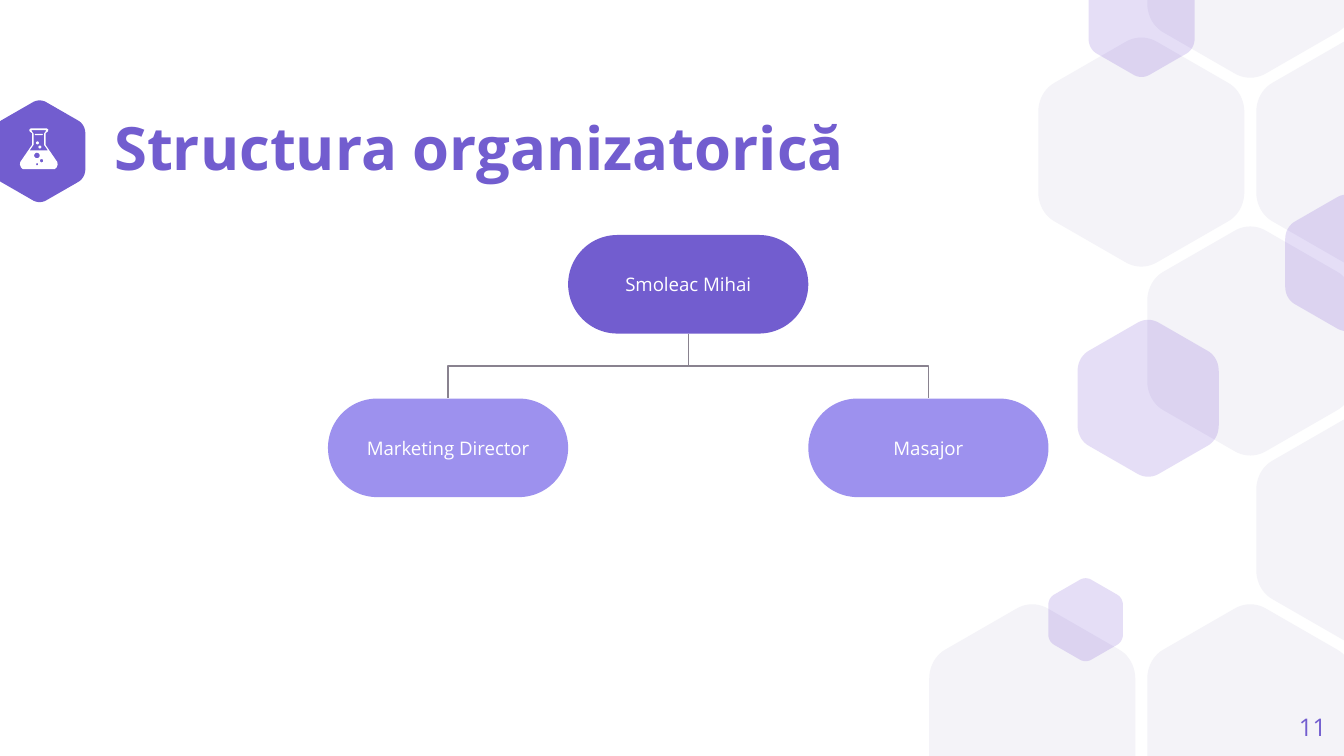
import math

import pptx
import pptx.dml.color
import pptx.enum.shapes
import pptx.enum.text
import pptx.oxml.ns
import pptx.util
from lxml import etree

Pt = pptx.util.Pt
qn = pptx.oxml.ns.qn
ALIGN = pptx.enum.text.PP_ALIGN
SHAPES = pptx.enum.shapes.MSO_SHAPE
FONT = "Open Sans"
PAGE_WIDTH, PAGE_HEIGHT = 720, 405
PURPLE, LILAC, VIOLET = "725DCF", "9D91EE", "5322C9"
PALE, GREY, WHITE = "F4F3F8", "89828F", "FFFFFF"


def colour(target, value):
    target.rgb = pptx.dml.color.RGBColor.from_string(value)


def paint(shape, value, opacity=None):
    shape.shadow.inherit = False
    shape.line.fill.background()
    shape.fill.solid()
    colour(shape.fill.fore_color, value)
    if opacity is not None:
        tint = shape.fill._xPr.find(qn("a:solidFill"))[0]
        etree.SubElement(tint, qn("a:alpha")).set("val", str(opacity * 1000))
    return shape


def write(shape, text, size=10, value=WHITE, bold=False, align=ALIGN.CENTER,
          margin=0, spacing=1.0):
    frame = shape.text_frame
    frame.word_wrap = True
    frame.vertical_anchor = pptx.enum.text.MSO_ANCHOR.MIDDLE
    frame.margin_left = frame.margin_right = Pt(margin)
    frame.margin_top = frame.margin_bottom = Pt(margin)
    para = frame.paragraphs[0]
    para.alignment = align
    para.line_spacing = spacing
    span = para.add_run()
    span.text = text
    span.font.name = FONT
    span.font.size = Pt(size)
    span.font.bold = bold
    colour(span.font.color, value)


def outline(page, contours, value, opacity=None):
    contours = [[(Pt(x), Pt(y)) for x, y in contour] for contour in contours]
    builder = page.shapes.build_freeform(*contours[0][0], scale=1.0)
    for index, contour in enumerate(contours):
        if index:
            builder.move_to(*contour[0])
        builder.add_line_segments(contour[1:], close=True)
    return paint(builder.convert_to_shape(), value, opacity)


def bezier(a, b, c, d, steps=10):
    for step in range(steps + 1):
        t = step / steps
        yield tuple((1 - t) ** 3 * p + 3 * t * (1 - t) ** 2 * q
                    + 3 * t * t * (1 - t) * r + t ** 3 * s
                    for p, q, r, s in zip(a, b, c, d))


def hexagon(page, left, top, width, value, opacity=None):
    """Rounded hexagon, cut at the top and bottom edges of the page."""
    height = width * 1.105
    side = list(bezier((1, .325), (1, .27), (.97, .22), (.92, .195)))
    peak = list(bezier((.58, .018), (.53, -.01), (.47, -.01), (.42, .018)))
    upper = side + peak + [(1 - x, y) for x, y in reversed(side)]
    points = upper + [(1 - x, 1 - y) for x, y in upper]
    outline(page, [[(left + x * width,
                     min(max(top + y * height, 0), PAGE_HEIGHT))
                    for x, y in points]], value, opacity)


def honeycomb(page, left, top):
    # Large pale cells: column, row on a half-offset grid
    pitch_x, pitch_y = 58.4, 101.2
    cells = [(0, 3), (2, 3), (3, 0), (2, -1), (2, 1), (1, 0)]

    def cell(column, row):
        hexagon(page, left + column * pitch_x, top + row * pitch_y, 110.4, PALE)

    for column, row in cells:
        cell(column, row)
    # Small translucent cells: offset from the grid, width
    for x, y, width in [(190.7, 84, 65.8), (63.8, 289.4, 40),
                        (85.4, -42.2, 56.8), (79.5, 151.1, 75.6)]:
        hexagon(page, left + x, top + y, width, VIOLET, 15)
    cell(3, 2)


def circle(x, y, radius):
    return [(x + radius * math.cos(math.tau * n / 16),
             y + radius * math.sin(math.tau * n / 16)) for n in range(16)]


def flask(page, left, top):
    def mirrored(half):
        return half + [(20.2 - x, y) for x, y in reversed(half)]

    def place(*contours):
        outline(page, [[(left + x, top + y) for x, y in contour]
                       for contour in contours], WHITE)

    glass = mirrored([(5.8, 0), (5, .7), (5.2, 1.6), (6.5, 2.6), (6.5, 8.8),
                      (.2, 18), (0, 19.4), (.6, 21), (1.6, 21.8)])
    hollow = mirrored([(6.1, .9), (6.4, 1.6), (7.3, 2.8), (7.3, 8.8),
                       (5.2, 11.8)])
    place(glass, hollow, circle(9.1, 14.5, 1.5), circle(11.6, 17.3, .9),
          circle(9.2, 19.2, .6))
    place(circle(10.7, 10, .8))
    place(circle(9.4, 7.8, .8))
    place(mirrored([(8.2, 2.9), (7.9, 3.25), (8.2, 3.6)]))


def heading(page, left, top, width, height, text):
    hexagon(page, left - 64.5, top - 11.5, 49, PURPLE)
    flask(page, left - 50.5, top + 3.3)
    box = page.shapes.add_textbox(Pt(left), Pt(top), Pt(width), Pt(height))
    write(box, text, size=32, value=PURPLE, bold=True, align=ALIGN.LEFT,
          spacing=.9)


def organisation(page, left, top, width, height, leader, members):
    node_width, node_height = width / 3, 52.8
    drop = height - 2 * node_height

    def node(column, row, text, value):
        pill = page.shapes.add_shape(
            SHAPES.ROUNDED_RECTANGLE, Pt(left + column * node_width),
            Pt(top + row * (node_height + drop)), Pt(node_width), Pt(node_height))
        pill.adjustments[0] = .5
        write(paint(pill, value), text, margin=7.2)
        return pill

    def link(parent, child, column):
        line = page.shapes.add_connector(
            pptx.enum.shapes.MSO_CONNECTOR.ELBOW, 0, 0, Pt(drop), Pt(node_width))
        line.begin_connect(parent, 2)
        line.end_connect(child, 0)
        # The elbow is turned so that it leaves the parent downwards
        middle_x = left + node_width * (1 if column == 0 else 2)
        line.left = Pt(middle_x - drop / 2)
        line.top = Pt(top + node_height + drop / 2 - node_width / 2)
        line.width, line.height = Pt(drop), Pt(node_width)
        frame = line._element.spPr.find(qn("a:xfrm"))
        for flip in ("flipH", "flipV"):
            frame.attrib.pop(flip, None)
        frame.set("rot", str((90 if column == 0 else 270) * 60000))
        if column:
            frame.set("flipH", "1")
        line.line.width = Pt(.75)
        colour(line.line.color, GREY)
        etree.SubElement(line._element.spPr, qn("a:effectLst"))

    parent = node(1, 0, leader, PURPLE)
    for column, text in members:
        link(parent, node(column, 1, text, LILAC), column)


def page_number(page, left, top, width, height, text):
    box = page.shapes.add_textbox(Pt(left), Pt(top), Pt(width), Pt(height))
    write(box, text, size=13, value=PURPLE, align=ALIGN.RIGHT)


deck = pptx.Presentation()
deck.slide_width, deck.slide_height = Pt(PAGE_WIDTH), Pt(PAGE_HEIGHT)
page = deck.slides.add_slide(deck.slide_layouts[6])
honeycomb(page, 497.8, 20.5)
heading(page, 61.2, 65.5, 473, 31, "Structura organizatorică")
page_number(page, 667.4, 373.7, 43.2, 31, "11")
organisation(page, 175.7, 125.9, 386, 140.4, "Smoleac Mihai",
             [(2, "Masajor"), (0, "Marketing Director")])
deck.save("out.pptx")
